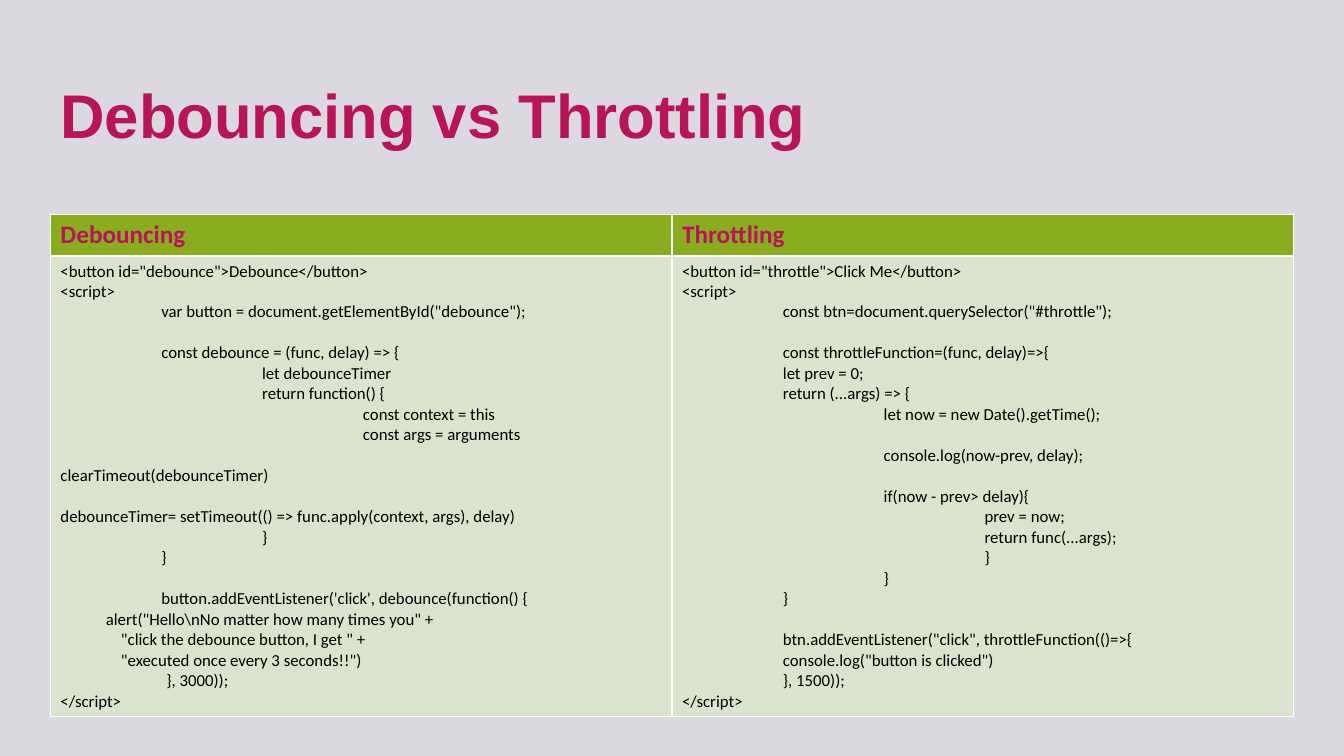
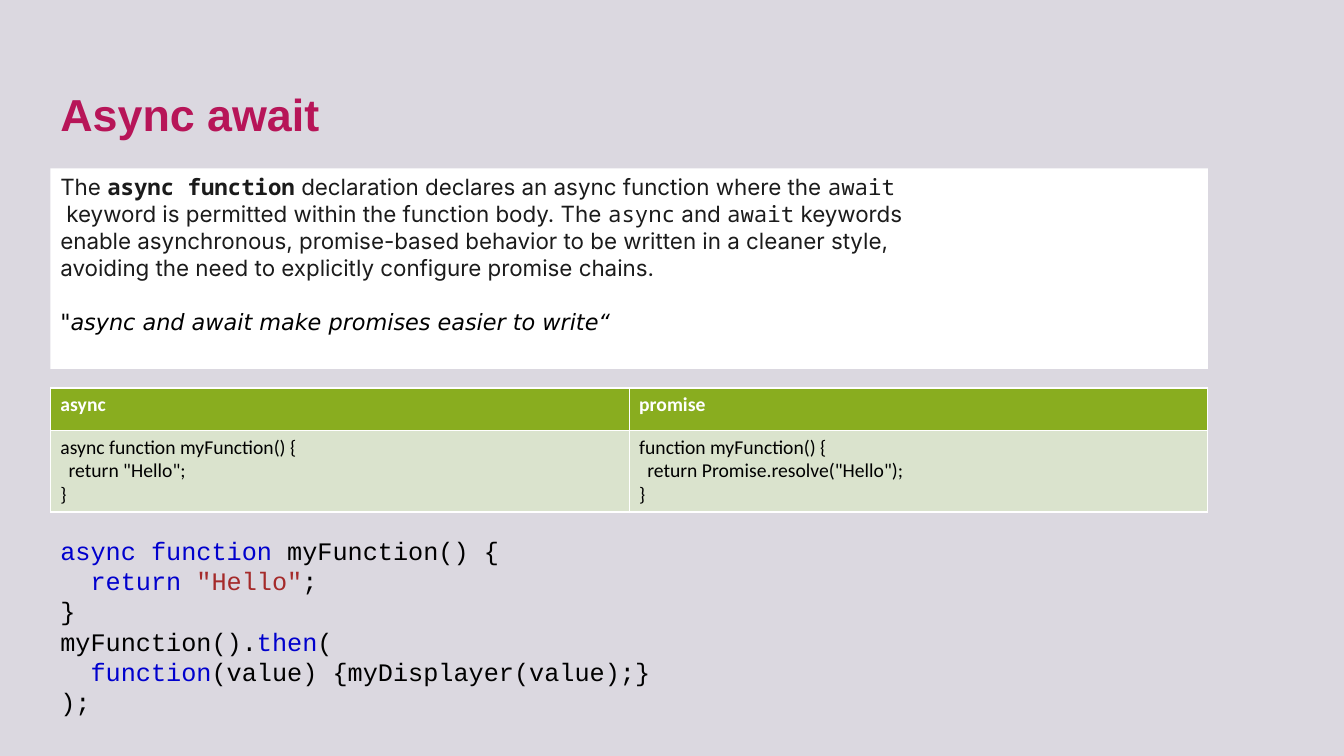
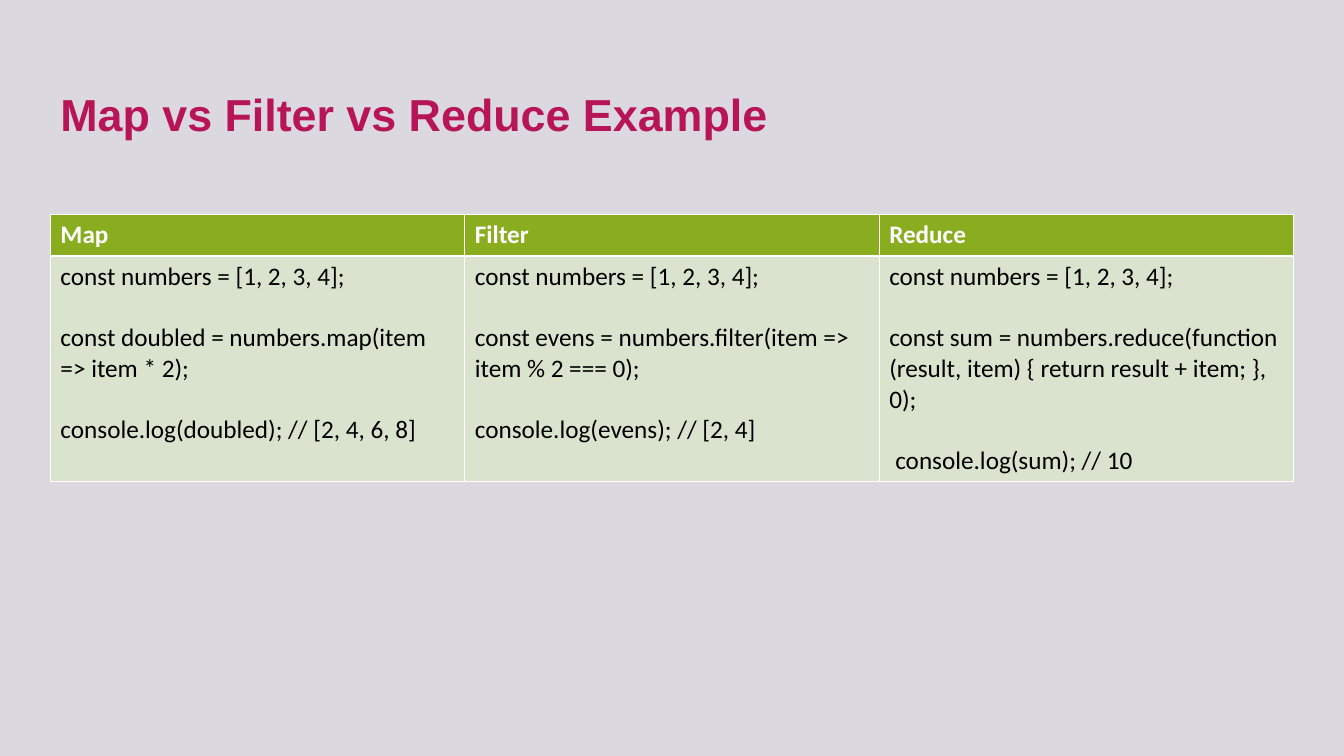
from pptx import Presentation
from pptx.dml.color import RGBColor
from pptx.enum.shapes import MSO_SHAPE
from pptx.enum.text import MSO_ANCHOR, PP_ALIGN
from pptx.util import Inches, Pt

BACKDROP, MAGENTA, GREEN, PALE_GREEN = "DBD8E0", "B71558", "89AD1F", "DAE3CD"
WHITE, BLACK, INK, BLUE, BROWN = "FFFFFF", "000000", "1B1B1B", "0000CD", "A52A2A"
LINE_PITCH = 1.22
GAP = None

MONO = {"name": "Noto Sans Mono"}
MONO_BOLD = {"name": "Noto Sans Mono", "bold": True}
KEYWORD = {"color": BLUE}
STRING = {"color": BROWN}

prs = Presentation()
prs.slide_width, prs.slide_height = Inches(13.33), Inches(7.5)
left = Inches(0.5)
full_width = prs.slide_width - 2 * left
narrow_width = Inches(11.48)


def paint(target, color):
    """Give a fill or a font a solid colour."""
    if hasattr(target, "solid"):
        target.solid()
        target.fore_color.rgb = RGBColor.from_string(color)
    else:
        target.color.rgb = RGBColor.from_string(color)


def write(frame, lines, size, font="Calibri", color=BLACK, bold=False):
    """Write lines of (indent in inches, run, ...); a run is text or (text, style).

    GAP leaves one line free above the next line.
    """
    frame.word_wrap = True
    paragraph, gap = frame.paragraphs[0], 0
    for number, line in enumerate(lines):
        if line is GAP:
            gap = size * LINE_PITCH
            continue
        indent, *runs = line
        if number:
            paragraph = frame.add_paragraph()
        paragraph.alignment = PP_ALIGN.LEFT
        paragraph.space_before, gap = Pt(gap), 0
        if indent:
            properties = paragraph._p.get_or_add_pPr()
            properties.set("marL", str(Inches(indent)))
            properties.set("indent", "0")
        paragraph.font.size, paragraph.font.name = Pt(size), font
        paragraph.font.bold = bold
        paint(paragraph.font, color)
        for item in runs:
            text, style = (item, {}) if isinstance(item, str) else item
            run = paragraph.add_run()
            run.text = text
            for key, value in style.items():
                if key == "color":
                    paint(run.font, value)
                else:
                    setattr(run.font, key, value)


debounce_code = [
    (0, '<button id="debounce">Debounce</button>'),
    (0, "<script>"),
    (1, 'var button = document.getElementById("debounce");'),
    GAP,
    (1, "const debounce = (func, delay) => {"),
    (2, "let debounceTimer"),
    (2, "return function() {"),
    (3, "const context = this"),
    (3, "const args = arguments"),
    GAP,
    (0, "clearTimeout(debounceTimer)"),
    GAP,
    (0, "debounceTimer= setTimeout(() => func.apply(context, args), delay)"),
    (2, "}"),
    (1, "}"),
    GAP,
    (1, "button.addEventListener('click', debounce(function() {"),
    (0.45, 'alert("Hello\\nNo matter how many times you" +'),
    (0.6, '"click the debounce button, I get " +'),
    (0.6, '"executed once every 3 seconds!!")'),
    (1.05, "}, 3000));"),
    (0, "</script>"),
]
throttle_code = [
    (0, '<button id="throttle">Click Me</button>'),
    (0, "<script>"),
    (1, 'const btn=document.querySelector("#throttle");'),
    GAP,
    (1, "const throttleFunction=(func, delay)=>{"),
    (1, "let prev = 0;"),
    (1, "return (...args) => {"),
    (2, "let now = new Date().getTime();"),
    GAP,
    (2, "console.log(now-prev, delay);"),
    GAP,
    (2, "if(now - prev> delay){"),
    (3, "prev = now;"),
    (3, "return func(...args);"),
    (3, "}"),
    (2, "}"),
    (1, "}"),
    GAP,
    (1, 'btn.addEventListener("click", throttleFunction(()=>{'),
    (1, 'console.log("button is clicked")'),
    (1, "}, 1500));"),
    (0, "</script>"),
]
async_code = [
    (0, "async function myFunction() {"),
    (0.08, 'return "Hello";'),
    (0, "}"),
]
promise_code = [
    (0, "function myFunction() {"),
    (0.08, 'return Promise.resolve("Hello");'),
    (0, "}"),
]
numbers = (0, "const numbers = [1, 2, 3, 4];")
map_code = [
    numbers, GAP,
    (0, "const doubled = numbers.map(item => item * 2);"), GAP,
    (0, "console.log(doubled); // [2, 4, 6, 8]"),
]
filter_code = [
    numbers, GAP,
    (0, "const evens = numbers.filter(item => item % 2 === 0);"), GAP,
    (0, "console.log(evens); // [2, 4]"),
]
reduce_code = [
    numbers, GAP,
    (0, "const sum = numbers.reduce(function (result, item) { return result + item; }, 0);"),
    GAP,
    (0.06, "console.log(sum); // 10"),
]

# title, title size, table top, table width, row heights, heading size and colour,
# code size, columns
comparisons = [
    ("Debouncing vs Throttling", 44, 2.13, full_width, (0.41, 4.57), 18, MAGENTA, 12,
     {"Debouncing": debounce_code, "Throttling": throttle_code}),
    ("Async await", 32, 3.85, narrow_width, (0.42, 0.81), 14, WHITE, 14,
     {"async": async_code, "promise": promise_code}),
    ("Map vs Filter vs Reduce Example", 32, 2.13, full_width, (0.41, 2.24), 18, WHITE, 18,
     {"Map": map_code, "Filter": filter_code, "Reduce": reduce_code}),
]

paint(prs.slide_master.background.fill, BACKDROP)
slides = []
for (title, title_size, top, width, row_heights, heading_size, heading_color,
     code_size, columns) in comparisons:
    slide = prs.slides.add_slide(prs.slide_layouts[6])
    slides.append(slide)
    heading = slide.shapes.add_textbox(left, Inches(0.4), Inches(11.92), Inches(1.45))
    heading.text_frame.vertical_anchor = MSO_ANCHOR.MIDDLE
    write(heading.text_frame, [(0, title)], title_size, "Arial", MAGENTA, True)

    table = slide.shapes.add_table(2, len(columns), left, Inches(top), width,
                                   Inches(sum(row_heights))).table
    table.horz_banding = False
    for row, height in zip(table.rows, row_heights):
        row.height = Inches(height)
    for column, (name, code) in enumerate(columns.items()):
        head, body = table.cell(0, column), table.cell(1, column)
        paint(head.fill, GREEN)
        paint(body.fill, PALE_GREEN)
        write(head.text_frame, [(0, name)], heading_size, color=heading_color, bold=True)
        write(body.text_frame, code, code_size)

async_slide = slides[1]
definition = async_slide.shapes.add_shape(MSO_SHAPE.RECTANGLE, left, Inches(1.67),
                                          narrow_width, Inches(1.99))
definition.shadow.inherit = False
paint(definition.fill, WHITE)
definition.line.fill.background()
definition.text_frame.vertical_anchor = MSO_ANCHOR.TOP
write(definition.text_frame, [
    (0, "The ", ("async function", MONO_BOLD),
     " declaration declares an async function where the ", ("await", MONO)),
    (0.06, "keyword is permitted within the function body. The ", ("async", MONO),
     " and ", ("await", MONO), " keywords"),
    (0, "enable asynchronous, promise-based behavior to be written in a cleaner style,"),
    (0, "avoiding the need to explicitly configure promise chains."),
    GAP,
    (0, ('"async and await make promises easier to write“',
         {"name": "DejaVu Sans", "italic": True, "color": BLACK})),
], 16, "Inter", INK)

usage = async_slide.shapes.add_textbox(left, Inches(5.26), narrow_width, Inches(1.92))
write(usage.text_frame, [
    (0, ("async function ", KEYWORD), "myFunction() {"),
    (0.3, ("return ", KEYWORD), ('"Hello"', STRING), ";"),
    (0, "}"),
    (0, "myFunction().", ("then", KEYWORD), "("),
    (0.3, ("function", KEYWORD), "(value) {myDisplayer(value);}"),
    (0, ");"),
], 18, "Courier New")

prs.save("out.pptx")
